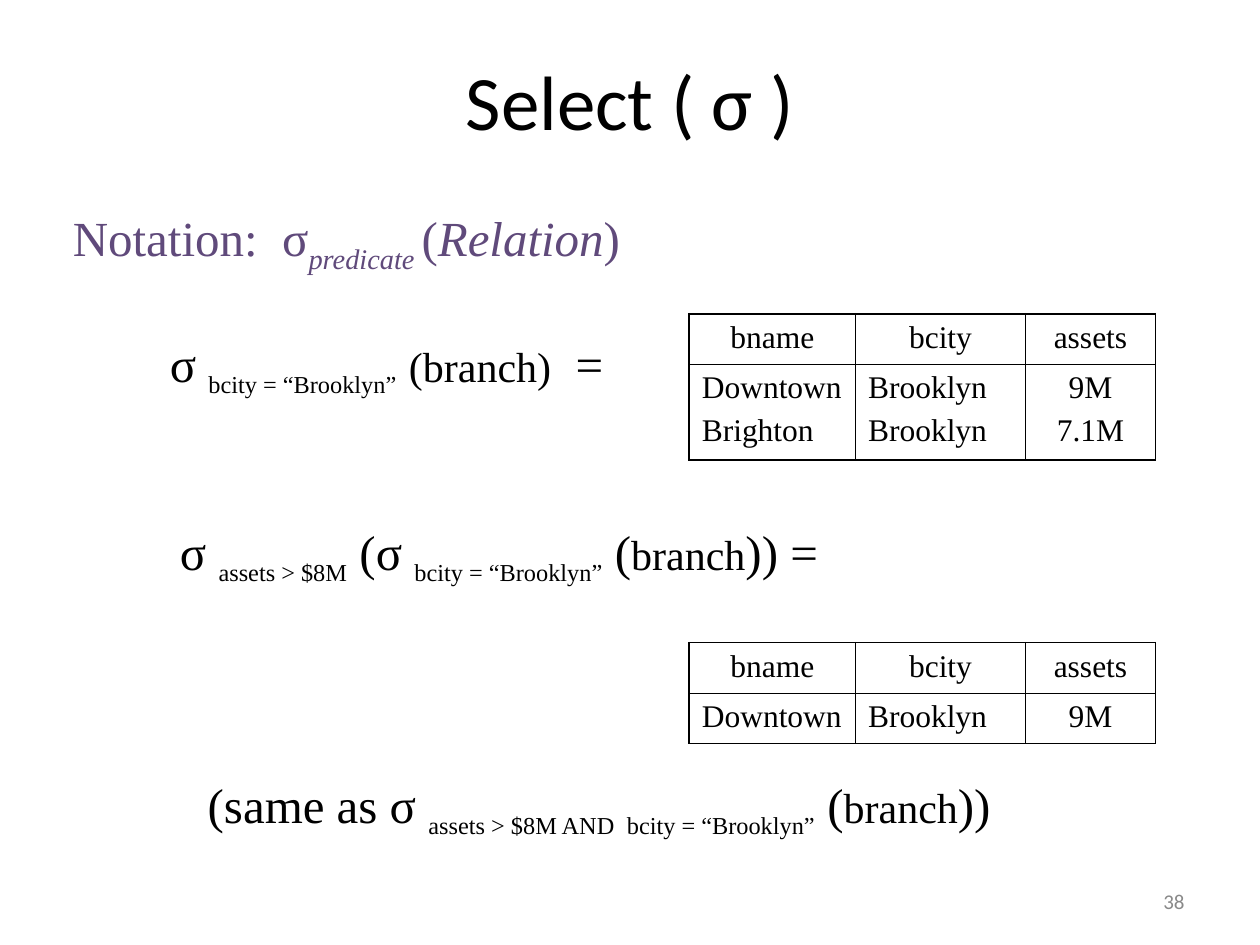
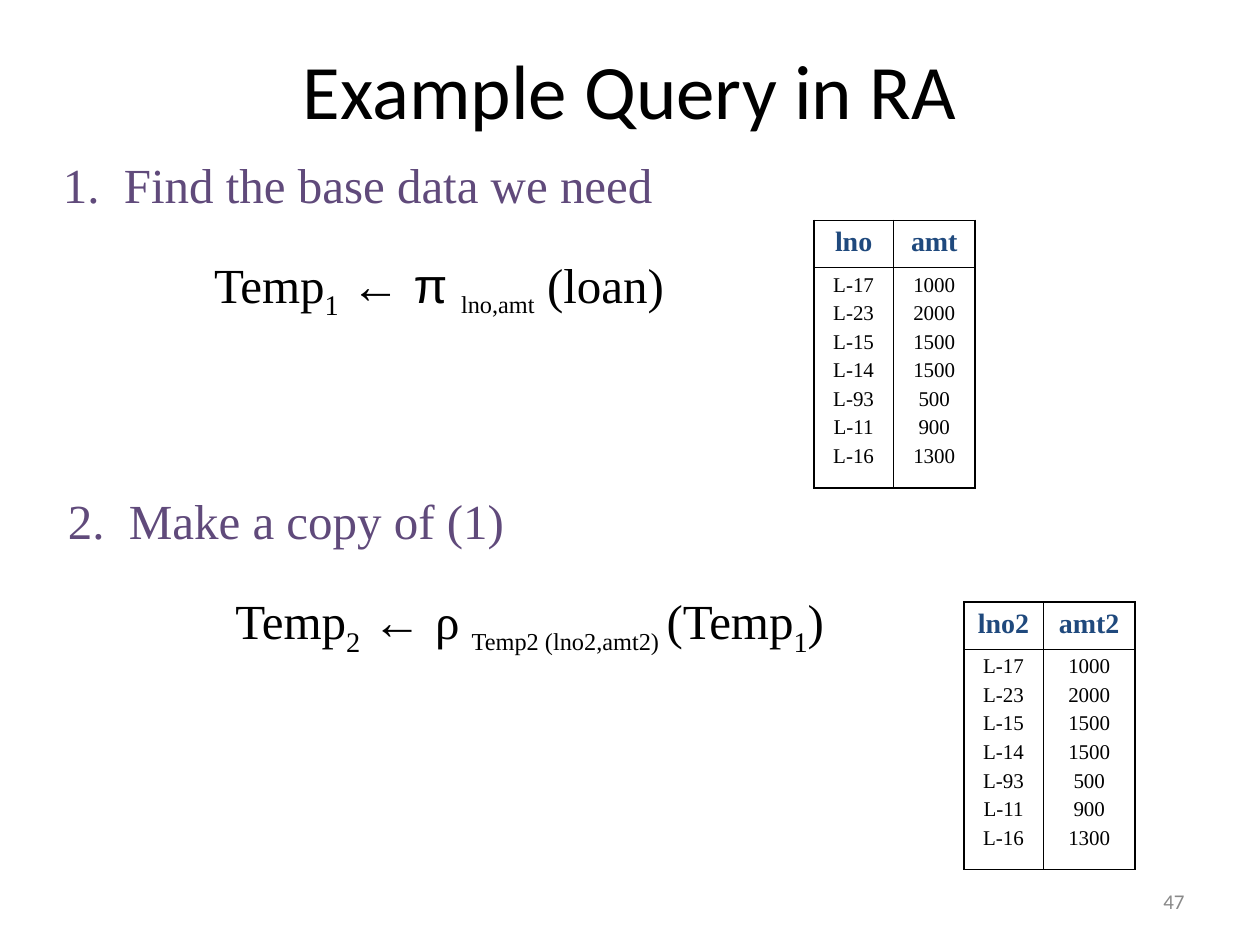
from pptx import Presentation
from pptx.dml.color import RGBColor
from pptx.enum import text
from pptx.oxml import parse_xml
from pptx.oxml.ns import nsdecls
from pptx.util import Inches, Pt

BLACK = RGBColor(0x00, 0x00, 0x00)
PURPLE = RGBColor(0x60, 0x4A, 0x7B)
NAVY = RGBColor(0x1F, 0x49, 0x7D)
GREY = RGBColor(0x89, 0x89, 0x89)
SERIF, SANS, SYMBOL = "Times New Roman", "Calibri", "Arial"
LEFT, CENTER, RIGHT = (text.PP_ALIGN.LEFT, text.PP_ALIGN.CENTER,
                       text.PP_ALIGN.RIGHT)
OUTER, INNER = 1.08, 0.45  # table border widths

# Run styles used inside formulas
MAIN = {"size": Pt(28), "name": SERIF}
REL = {**MAIN, "size": Pt(24)}
PRED = {**REL, "sub": True}
INDEX = {**MAIN, "sub": True}
ARROW = {**MAIN, "name": SYMBOL}
ITALIC = {**MAIN, "italic": True}
ITALIC_SUB = {**ITALIC, "sub": True}

BROOKLYN = ("bcity = “Brooklyn”", PRED)
BRANCH = ("branch", REL)

# Table styles
BRANCH_HEAD = {"size": Pt(18), "name": SERIF, "bold": False}
LOAN_HEAD = {"size": Pt(16), "name": SERIF, "bold": True}
LOAN_BODY = {"size": Pt(12), "name": SERIF, "bold": False}

LOAN_NUMBERS = ["L-17", "L-23", "L-15", "L-14", "L-93", "L-11", "L-16"]
LOAN_AMOUNTS = ["1000", "2000", "1500", "1500", "500", "900", "1300"]


def add_run(p, content, style, color):
    r = p.add_run()
    r.text = content
    r.font.color.rgb = color
    for key, value in style.items():
        if key == "sub":
            r.font._element.set("baseline", "-25000")
        else:
            setattr(r.font, key, value)


def add_title(slide, content, top):
    sp = slide.shapes.title
    sp.left, sp.top, sp.width, sp.height = map(Inches, (0.5, top, 9, 1.25))
    tf = sp.text_frame
    tf.vertical_anchor = text.MSO_ANCHOR.MIDDLE
    p = tf.paragraphs[0]
    p.alignment = CENTER
    add_run(p, content, {"size": Pt(44), "name": SANS}, BLACK)


def add_line(slide, at, runs, color=BLACK):
    """One unwrapped line of text made of differently styled runs."""
    tf = slide.shapes.add_textbox(*map(Inches, at)).text_frame
    tf.word_wrap = False
    tf.auto_size = text.MSO_AUTO_SIZE.SHAPE_TO_FIT_TEXT
    for content, style in runs:
        add_run(tf.paragraphs[0], content, style, color)


def add_page_number(slide, number):
    sp = slide.shapes.add_textbox(*map(Inches, (7.17, 6.95, 2.33, 0.4)))
    tf = sp.text_frame
    tf.word_wrap = True
    tf.vertical_anchor = text.MSO_ANCHOR.MIDDLE
    p = tf.paragraphs[0]
    p.alignment = RIGHT
    add_run(p, str(number), {"size": Pt(12), "name": SANS}, GREY)


def set_borders(cell, widths):
    tc_pr = cell._tc.get_or_add_tcPr()
    for i, (side, width) in enumerate(widths.items()):
        tc_pr.insert(i, parse_xml(
            f'<a:ln{side} {nsdecls("a")} w="{Pt(width)}"><a:solidFill>'
            f'<a:srgbClr val="{BLACK}"/></a:solidFill></a:ln{side}>'))


def fill_cell(cell, lines, style, color, align, gap):
    cell.fill.background()
    tf = cell.text_frame
    for i, line in enumerate(lines):
        p = tf.add_paragraph() if i else tf.paragraphs[0]
        p.alignment = align
        if i:
            p.space_before = Pt(gap)
        add_run(p, line, style, color)


def add_relation(slide, left, top, widths, heights, columns, head, body,
                 aligns, head_color=BLACK, gap=4.5):
    """A relation: a header row, and one row holding all the tuples."""
    last = len(columns) - 1
    frame = slide.shapes.add_table(
        2, len(columns), *map(Inches, (left, top, sum(widths), sum(heights))))
    table = frame.table
    table.first_row = table.horz_banding = False
    for row, height in zip(table.rows, heights):
        row.height = Inches(height)
    for c, (name, values) in enumerate(columns.items()):
        table.columns[c].width = Inches(widths[c])
        fill_cell(table.cell(0, c), [name], head, head_color, CENTER, gap)
        fill_cell(table.cell(1, c), values, body, BLACK, aligns[c], gap)
        for r in range(2):
            set_borders(table.cell(r, c), {
                "L": OUTER if c == 0 else INNER,
                "R": OUTER if c == last else INNER,
                "T": OUTER if r == 0 else INNER,
                "B": OUTER if r == 1 else INNER})


def add_branch_table(slide, top, body_height, columns):
    add_relation(slide, 5.47, top, [1.32, 1.35, 1.03], [0.4, body_height],
                 columns, BRANCH_HEAD, BRANCH_HEAD, [LEFT, LEFT, CENTER])


def add_loan_table(slide, left, top, names, amount_width):
    columns = dict(zip(names, (LOAN_NUMBERS, LOAN_AMOUNTS)))
    add_relation(slide, left, top, [0.63, amount_width], [0.37, 1.75], columns,
                 LOAN_HEAD, LOAN_BODY, [CENTER, CENTER], NAVY, gap=3)


def build_select(slide):
    add_title(slide, "Select ( σ )", 0.17)
    add_branch_table(slide, 2.49, 0.76, {
        "bname": ["Downtown", "Brighton"],
        "bcity": ["Brooklyn", "Brooklyn"],
        "assets": ["9M", "7.1M"]})
    add_branch_table(slide, 5.1, 0.4, {
        "bname": ["Downtown"], "bcity": ["Brooklyn"], "assets": ["9M"]})

    add_line(slide, (0.48, 1.6, 4.55, 0.58), [
        ("Notation:  σ", MAIN), ("predicate ", ITALIC_SUB), ("(", MAIN),
        ("Relation", ITALIC), (")", MAIN)], PURPLE)
    add_line(slide, (1.25, 2.6, 3.64, 0.61), [
        ("σ ", MAIN), BROOKLYN, (" ", MAIN), ("(branch)", REL), ("  =", MAIN)])
    add_line(slide, (1.33, 4.09, 5.26, 0.61), [
        ("σ ", MAIN), ("assets > $8M", PRED), (" (σ ", MAIN), BROOKLYN,
        (" (", MAIN), BRANCH, (")) =", MAIN)])
    add_line(slide, (1.55, 6.1, 6.42, 0.61), [
        ("(same as σ ", MAIN), ("assets > $8M AND", PRED), (" ", MAIN),
        BROOKLYN, (" (", MAIN), BRANCH, ("))", MAIN)])
    add_page_number(slide, 38)


def build_query(slide):
    add_title(slide, "Example Query in RA", 0.08)

    # Step 1: projection
    add_line(slide, (0.4, 1.18, 4.88, 0.57),
             [("1.  Find the base data we need", MAIN)], PURPLE)
    add_line(slide, (1.6, 1.97, 3.82, 0.63), [
        ("Temp", MAIN), ("1", INDEX), (" ", MAIN), ("← π ", ARROW),
        ("lno,amt", PRED), (" (loan)", MAIN)])
    add_loan_table(slide, 6.46, 1.75, ("lno", "amt"), 0.65)

    # Step 2: renamed copy
    add_line(slide, (0.44, 3.84, 3.66, 0.57),
             [("2.  Make a copy of (1)", MAIN)], PURPLE)
    add_line(slide, (1.77, 4.64, 4.93, 0.63), [
        ("Temp", MAIN), ("2", INDEX), (" ", MAIN), ("← ", ARROW),
        ("ρ ", MAIN), ("Temp2 (lno2,amt2)", PRED), (" ", INDEX),
        ("(Temp", MAIN), ("1", INDEX), (")", MAIN)])
    add_loan_table(slide, 7.65, 4.78, ("lno2", "amt2"), 0.73)
    add_page_number(slide, 47)


def main():
    prs = Presentation()
    prs.slide_width, prs.slide_height = Inches(10), Inches(7.5)
    title_only = prs.slide_layouts[5]
    for build in (build_select, build_query):
        build(prs.slides.add_slide(title_only))
    prs.save("out.pptx")


if __name__ == "__main__":
    main()
